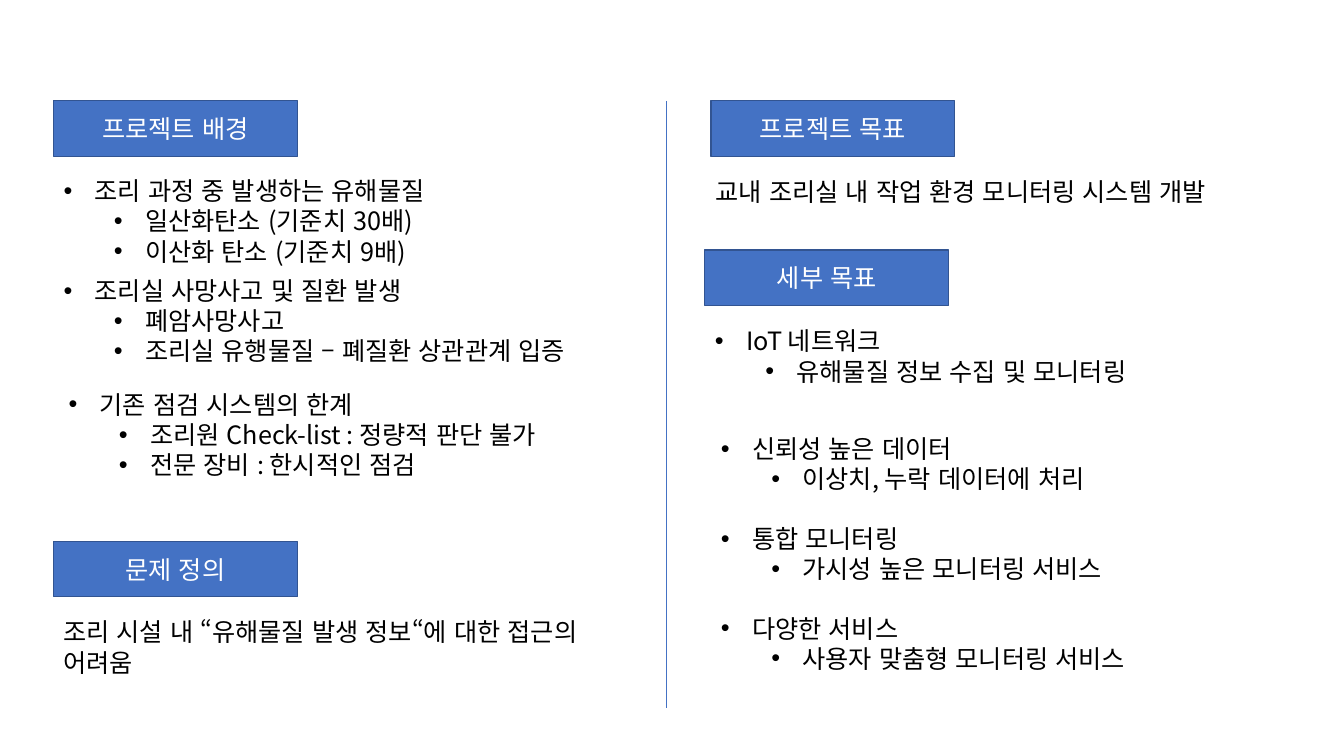
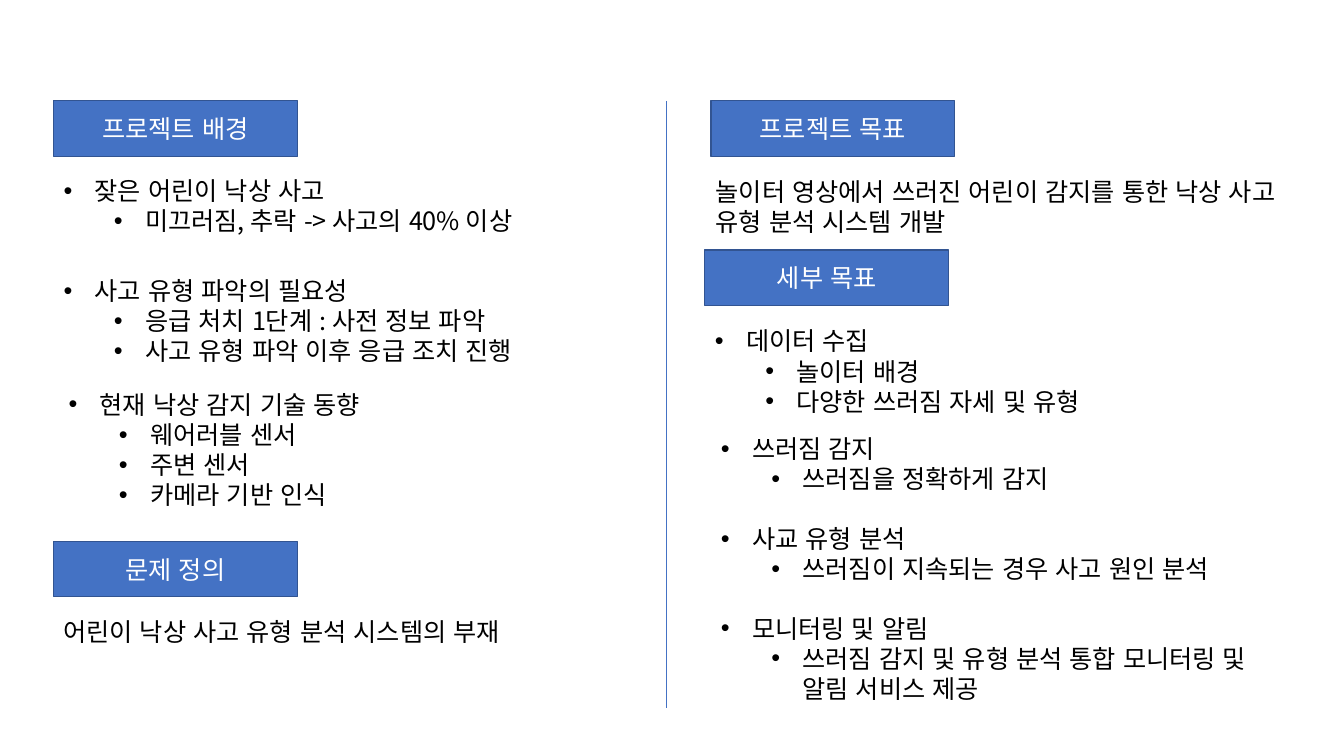
"""Build two project overview slides."""
import copy
import dataclasses

import pptx
import pptx.dml.color
import pptx.enum.dml
import pptx.enum.lang
import pptx.enum.shapes
import pptx.enum.text
import pptx.oxml.ns
import pptx.util
from lxml import etree

Inches = pptx.util.Inches
Pt = pptx.util.Pt
qn = pptx.oxml.ns.qn


@dataclasses.dataclass(frozen=True)
class Theme:
    """Shared colours, type and measures."""
    font: str = "Noto Sans CJK KR"
    size: int = 18
    accent: str = "4472C4"
    border: str = "325491"
    ink: str = "000000"
    paper: str = "FFFFFF"
    row: float = 0.3
    pad: float = 0.1
    hang: float = 0.31
    step: float = 0.5


THEME = Theme()
LIST_COUNT = 7
LEFT_PANEL = (0.53, 1)
RIGHT_PANEL = (6.99, 1)
LEFT_LISTS = [(0, 0.69, 5.43), (0, 1.68, 5.7), (0.05, 2.81, 5.7)]
RIGHT_LISTS = [(0, 2.18, 5.43)] + [(0.06, 3.25 + 0.89 * i, 5.43) for i in range(3)]

SLIDES = [
    {
        "background": [
            ["조리 과정 중 발생하는 유해물질", "일산화탄소 (기준치 30배)", "이산화 탄소 (기준치 9배)"],
            ["조리실 사망사고 및 질환 발생", "폐암사망사고", "조리실 유행물질 – 폐질환 상관관계 입증"],
            ["기존 점검 시스템의 한계", "조리원 Check-list : 정량적 판단 불가", "전문 장비 : 한시적인 점검"],
        ],
        "problem": "조리 시설 내 “유해물질 발생 정보“에 대한 접근의 어려움",
        "goal": "교내 조리실 내 작업 환경 모니터링 시스템 개발",
        "details": [
            ["IoT 네트워크", "유해물질 정보 수집 및 모니터링"],
            ["신뢰성 높은 데이터", "이상치, 누락 데이터에 처리"],
            ["통합 모니터링", "가시성 높은 모니터링 서비스"],
            ["다양한 서비스", "사용자 맞춤형 모니터링 서비스"],
        ],
    },
    {
        "background": [
            ["잦은 어린이 낙상 사고", "미끄러짐, 추락 -> 사고의 40% 이상"],
            ["사고 유형 파악의 필요성", "응급 처치 1단계 : 사전 정보 파악", "사고 유형 파악 이후 응급 조치 진행"],
            ["현재 낙상 감지 기술 동향", "웨어러블 센서", "주변 센서", "카메라 기반 인식"],
        ],
        "problem": "어린이 낙상 사고 유형 분석 시스템의 부재",
        "goal": "놀이터 영상에서 쓰러진 어린이 감지를 통한 낙상 사고 유형 분석 시스템 개발",
        "details": [
            ["데이터 수집", "놀이터 배경", "다양한 쓰러짐 자세 및 유형"],
            ["쓰러짐 감지", "쓰러짐을 정확하게 감지"],
            ["사교 유형 분석", "쓰러짐이 지속되는 경우 사고 원인 분석"],
            ["모니터링 및 알림", "쓰러짐 감지 및 유형 분석 통합 모니터링 및 알림 서비스 제공"],
        ],
    },
]


def rgb(value):
    """Return a colour object for a hex value."""
    return pptx.dml.color.RGBColor.from_string(value)


def format_runs(p, color):
    """Give every run of a paragraph the shared type style."""
    for r in p.runs:
        r.font.name = THEME.font
        r.font.size = Pt(THEME.size)
        r.font.color.rgb = rgb(color)
        r.font.language_id = pptx.enum.lang.MSO_LANGUAGE_ID.KOREAN
        latin = r.font._element.find(qn("a:latin"))
        ea = etree.Element(qn("a:ea"), typeface=THEME.font)
        latin.addnext(ea)


def add_heading(s, x, y, text):
    """Draw a section heading bar."""
    sp = s.shapes.add_shape(pptx.enum.shapes.MSO_SHAPE.RECTANGLE,
                            Inches(x), Inches(y), Inches(2.42), Inches(0.55))
    sp.shadow.inherit = False
    sp.fill.solid()
    sp.fill.fore_color.rgb = rgb(THEME.accent)
    sp.line.color.rgb = rgb(THEME.border)
    sp.line.width = Pt(1)
    tf = sp.text_frame
    tf.text = text
    tf.vertical_anchor = pptx.enum.text.MSO_ANCHOR.MIDDLE
    p = tf.paragraphs[0]
    p.alignment = pptx.enum.text.PP_ALIGN.CENTER
    format_runs(p, THEME.paper)


def add_statement(s, x, y, width, text):
    """Place a plain sentence that wraps in its box."""
    sp = s.shapes.add_textbox(Inches(x), Inches(y), Inches(width),
                              Inches(THEME.row + THEME.pad))
    tf = sp.text_frame
    tf.word_wrap = True
    tf.auto_size = pptx.enum.text.MSO_AUTO_SIZE.SHAPE_TO_FIT_TEXT
    tf.text = text
    format_runs(tf.paragraphs[0], THEME.ink)


def set_bullet(p, level):
    """Set the hanging indent and bullet of a list paragraph."""
    p.level = level
    pPr = p._p.get_or_add_pPr()
    pPr.set("marL", str(Inches(THEME.hang + THEME.step * level)))
    pPr.set("indent", str(-Inches(THEME.hang)))
    etree.SubElement(pPr, qn("a:buFont"), typeface="Arial")
    etree.SubElement(pPr, qn("a:buChar"), char="•")


def fill_list(sp, x, y, width, items):
    """Move a body placeholder and fill it with a topic and its points."""
    sp.left, sp.top, sp.width = Inches(x), Inches(y), Inches(width)
    sp.height = Inches(len(items) * THEME.row + THEME.pad)
    tf = sp.text_frame
    tf.text = "\n".join(items)
    tf.word_wrap = True
    tf.auto_size = pptx.enum.text.MSO_AUTO_SIZE.SHAPE_TO_FIT_TEXT
    tf.vertical_anchor = pptx.enum.text.MSO_ANCHOR.TOP
    for i, p in enumerate(tf.paragraphs):
        p.line_spacing = 1.0
        p.space_before = p.space_after = Pt(0)
        set_bullet(p, min(i, 1))
        format_runs(p, THEME.ink)


def fill_lists(bodies, box, slots, groups):
    """Fill the lists of a panel at their slots."""
    x, y = box
    for sp, (dx, dy, width), items in zip(bodies, slots, groups):
        fill_list(sp, x + dx, y + dy, width, items)


def add_background_panel(s, box, bodies, content):
    """Build the panel of background and problem."""
    x, y = box
    add_heading(s, x, y, "프로젝트 배경")
    fill_lists(bodies, box, LEFT_LISTS, content["background"])
    add_heading(s, x, y + 4.37, "문제 정의")
    add_statement(s, x, y + 5.07, 5.43, content["problem"])


def add_goal_panel(s, box, bodies, content):
    """Build the panel of the goal and its details."""
    x, y = box
    add_heading(s, x + 0.06, y, "프로젝트 목표")
    add_statement(s, x + 0.01, y + 0.7, 6.11, content["goal"])
    add_heading(s, x, y + 1.48, "세부 목표")
    fill_lists(bodies, box, RIGHT_LISTS, content["details"])


def add_divider(s, x, top, bottom):
    """Draw the line between the panels."""
    line = s.shapes.add_connector(pptx.enum.shapes.MSO_CONNECTOR.STRAIGHT,
                                  Inches(x), Inches(top), Inches(x), Inches(bottom))
    line.line.color.rgb = rgb(THEME.accent)
    line.line.width = Pt(0.5)
    etree.SubElement(line._element.spPr, qn("a:effectLst"))


def prepare_layout(prs):
    """Return a layout with one body placeholder for each list."""
    layout = prs.slide_layouts[1]
    body = layout.placeholders[1]._element
    for i in range(1, LIST_COUNT):
        extra = copy.deepcopy(body)
        extra.find(".//" + qn("p:cNvPr")).set("id", str(20 + i))
        extra.find(".//" + qn("p:ph")).set("idx", str(20 + i))
        body.getparent().append(extra)
    return layout


def add_overview_slide(prs, layout, content):
    """Build one slide with two panels."""
    s = prs.slides.add_slide(layout)
    title = s.shapes.title._element
    title.getparent().remove(title)
    bodies = list(s.placeholders)
    split = len(LEFT_LISTS)
    add_divider(s, 6.61, 1, 7.02)
    add_background_panel(s, LEFT_PANEL, bodies[:split], content)
    add_goal_panel(s, RIGHT_PANEL, bodies[split:], content)


def main():
    """Build and save the presentation."""
    prs = pptx.Presentation()
    prs.slide_width, prs.slide_height = Inches(13.33), Inches(7.5)
    layout = prepare_layout(prs)
    for content in SLIDES:
        add_overview_slide(prs, layout, content)
    prs.save("out.pptx")


if __name__ == "__main__":
    main()
